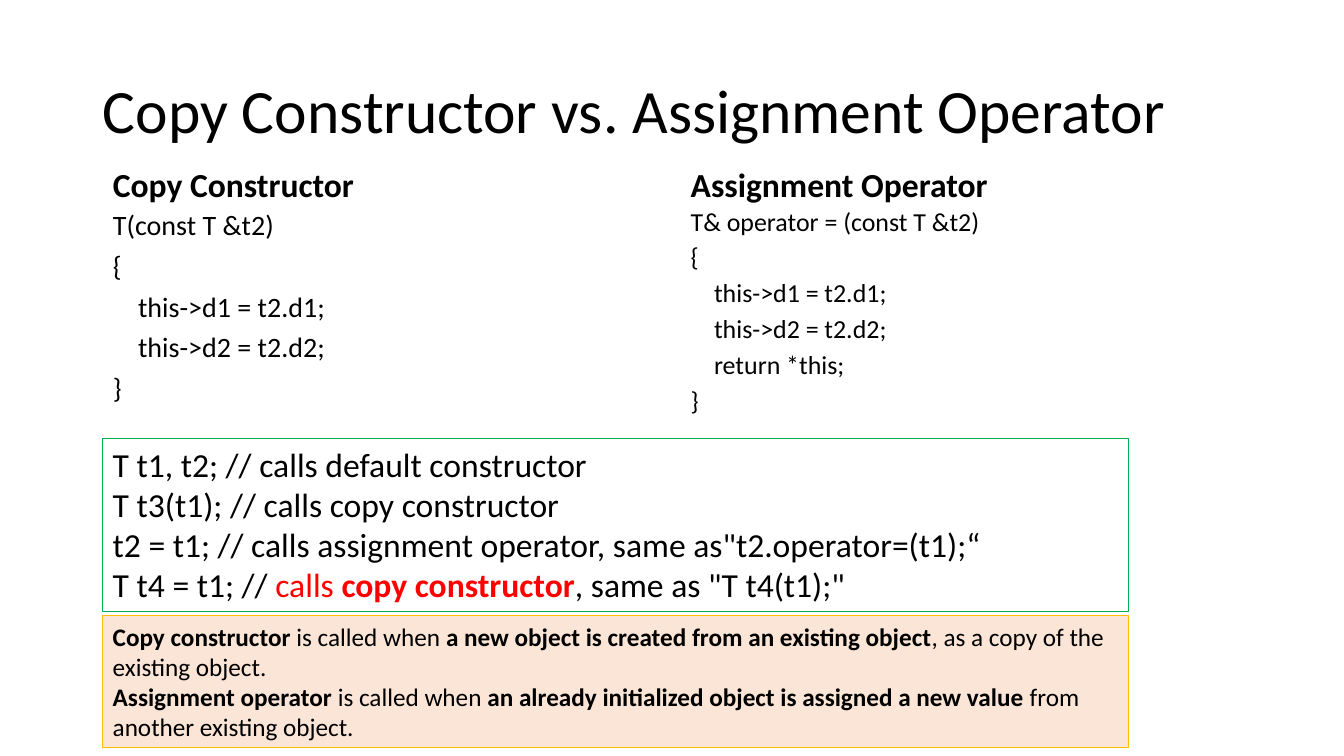
from pptx import Presentation
from pptx import util as u
from pptx.dml.color import RGBColor
from pptx.enum import shapes, text
from lxml import etree

SLIDE_W, SLIDE_H = u.Inches(13.33), u.Inches(7.5)
BLACK, RED, GREEN, GOLD, PEACH = "000000", "FF0000", "00B050", "FFC000", "FBE5D6"

# Grid, in percent of the slide's width and height
LEFT, RIGHT = 7.65, 50.64
LEFT_W, RIGHT_W = 32.63, 33.31
FULL_W = RIGHT + RIGHT_W - LEFT
HEAD_TOP, HEAD_H = 21.87, 5.73
CODE_TOP, CODE_H = HEAD_TOP + HEAD_H, 28.53

COPY_CODE = ["T(const T &t2)", "{", "\tthis->d1 = t2.d1;", "\tthis->d2 = t2.d2;", "}"]
ASSIGN_CODE = ["T& operator = (const T &t2)", "{", "\tthis->d1 = t2.d1;",
               "\tthis->d2 = t2.d2;", "\treturn *this;", "}"]
CALLS = [
    "T t1, t2; // calls default constructor",
    "T t3(t1); // calls copy constructor",
    "t2 = t1; // calls assignment operator, same as\"t2.operator=(t1);“",
    ["T t4 = t1; // ", ("calls ", {"color": RED}),
     ("copy constructor", {"color": RED, "bold": True}), ", same as \"T t4(t1);\""],
]
SUMMARY = [
    [("Copy constructor ", {"bold": True}), "is called when ",
     ("a new object is created from an existing object", {"bold": True}),
     ", as a copy of the existing object."],
    [("Assignment operator ", {"bold": True}), "is called when ",
     ("an already initialized object is assigned a new value ", {"bold": True}),
     "from another existing object."],
]


def rgb(hex_color):
    return RGBColor.from_string(hex_color)


def area(left, top, width, height):
    """Turn percentages of the slide into lengths."""
    return (int(SLIDE_W * left / 100), int(SLIDE_H * top / 100),
            int(SLIDE_W * width / 100), int(SLIDE_H * height / 100))


def add_run(paragraph, words, size, color=BLACK, bold=False):
    run = paragraph.add_run()
    run.text = words
    font = run.font
    font.name, font.size, font.bold = "Calibri", u.Pt(size), bold
    font.color.rgb = rgb(color)


def plain_paragraph(paragraph, indent):
    """Remove the bullet and hanging indent; indent is in points."""
    props = paragraph._p.get_or_add_pPr()
    props.set("marL", str(u.Pt(indent)))
    props.set("indent", "0")
    etree.SubElement(props, "{http://schemas.openxmlformats.org/drawingml/2006/main}buNone")


def write(frame, lines, size, bold=False, spacing=1.0, before=0,
          anchor=text.MSO_ANCHOR.TOP, fit=text.MSO_AUTO_SIZE.NONE):
    """Fill a frame; a line is a string or a list of strings and (string, format) pairs."""
    frame.word_wrap = True
    frame.auto_size = fit
    frame.vertical_anchor = anchor
    for number, line in enumerate(lines):
        paragraph = frame.add_paragraph() if number else frame.paragraphs[0]
        paragraph.alignment = text.PP_ALIGN.LEFT
        paragraph.line_spacing = spacing
        paragraph.space_before = u.Pt(before)
        pieces = [line] if isinstance(line, str) else line
        indented = isinstance(line, str) and line.startswith("\t")
        plain_paragraph(paragraph, round(0.9 * size, 1) if indented else 0)
        for piece in pieces:
            words, style = (piece, {}) if isinstance(piece, str) else piece
            add_run(paragraph, words.lstrip("\t"), size, **{"bold": bold, **style})


def fill_placeholder(slide, index, box, lines, size, **style):
    holder = slide.placeholders[index]
    holder.left, holder.top, holder.width, holder.height = area(*box)
    write(holder.text_frame, lines, size, **style)


def add_code_column(slide, index, left, width, heading, code, size, spacing):
    """Fill a heading placeholder and the code placeholder that follows it."""
    fill_placeholder(slide, index, (left, HEAD_TOP, width, HEAD_H), [heading], 24,
                     bold=True, spacing=0.8, before=10, anchor=text.MSO_ANCHOR.BOTTOM)
    fill_placeholder(slide, index + 1, (left, CODE_TOP, width, CODE_H), code, size,
                     spacing=spacing, before=10)


def add_panel(slide, top, height, lines, size, border, fill=None):
    panel = slide.shapes.add_shape(shapes.MSO_SHAPE.RECTANGLE,
                                   *area(LEFT, top, FULL_W, height))
    panel.shadow.inherit = False
    if fill:
        panel.fill.solid()
        panel.fill.fore_color.rgb = rgb(fill)
    else:
        panel.fill.background()
    panel.line.color.rgb = rgb(border)
    panel.line.width = u.Pt(0.75)
    write(panel.text_frame, lines, size, fit=text.MSO_AUTO_SIZE.SHAPE_TO_FIT_TEXT)


def main():
    deck = Presentation()
    deck.slide_width, deck.slide_height = SLIDE_W, SLIDE_H
    comparison = deck.slide_layouts.get_by_name("Comparison")
    slide = deck.slides.add_slide(comparison)

    fill_placeholder(slide, 0, (6.9, 5.33, 86.27, 19.33),
                     ["Copy Constructor vs. Assignment Operator"], 44,
                     spacing=0.9, anchor=text.MSO_ANCHOR.MIDDLE)
    add_code_column(slide, 1, LEFT, LEFT_W, "Copy Constructor", COPY_CODE, 20, 0.8)
    add_code_column(slide, 3, RIGHT, RIGHT_W, "Assignment Operator", ASSIGN_CODE, 18.5, 0.7)
    add_panel(slide, 81.47, 17.47, SUMMARY, 18, GOLD, PEACH)
    add_panel(slide, 58, 22.93, CALLS, 24, GREEN)

    deck.save("out.pptx")


if __name__ == "__main__":
    main()
